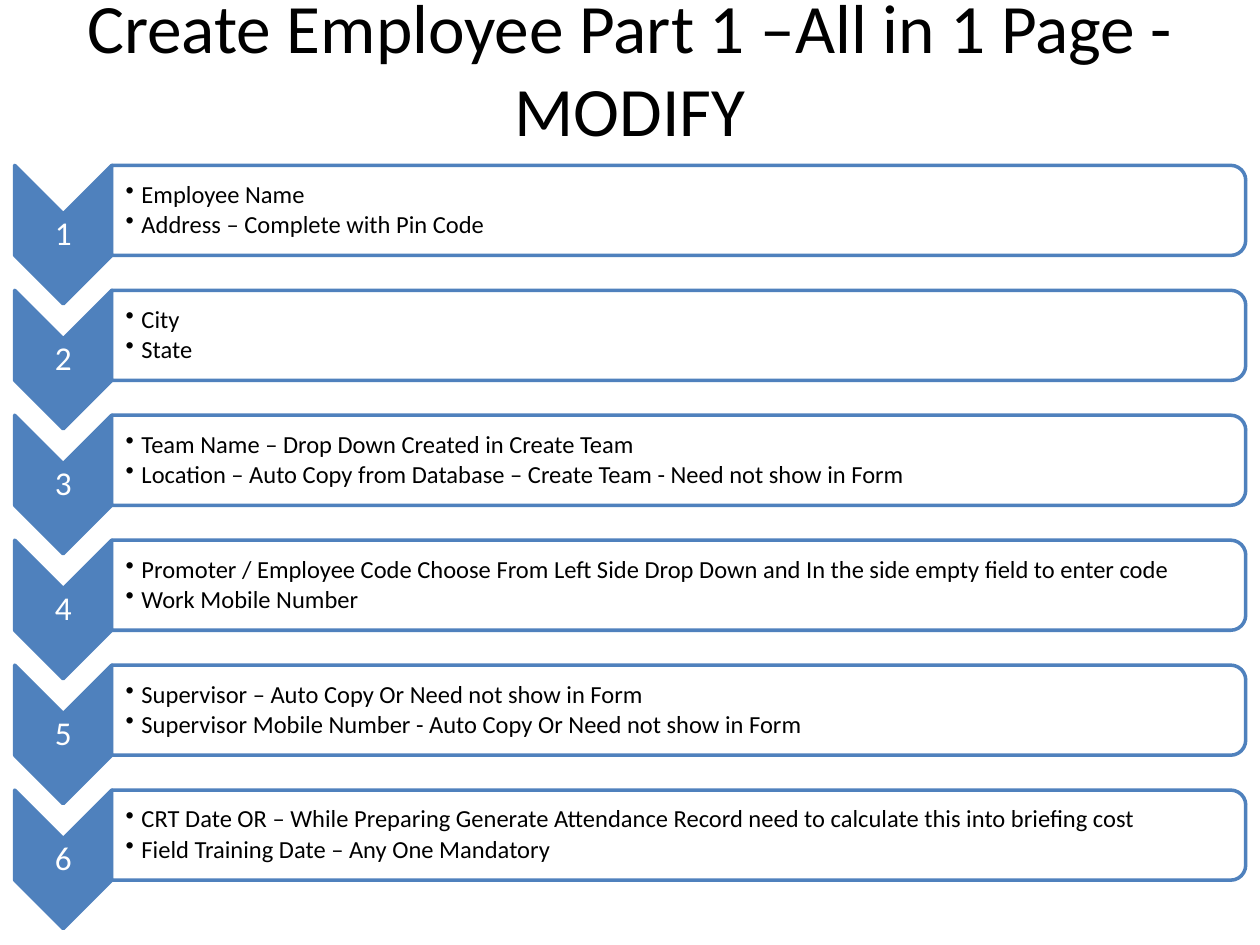
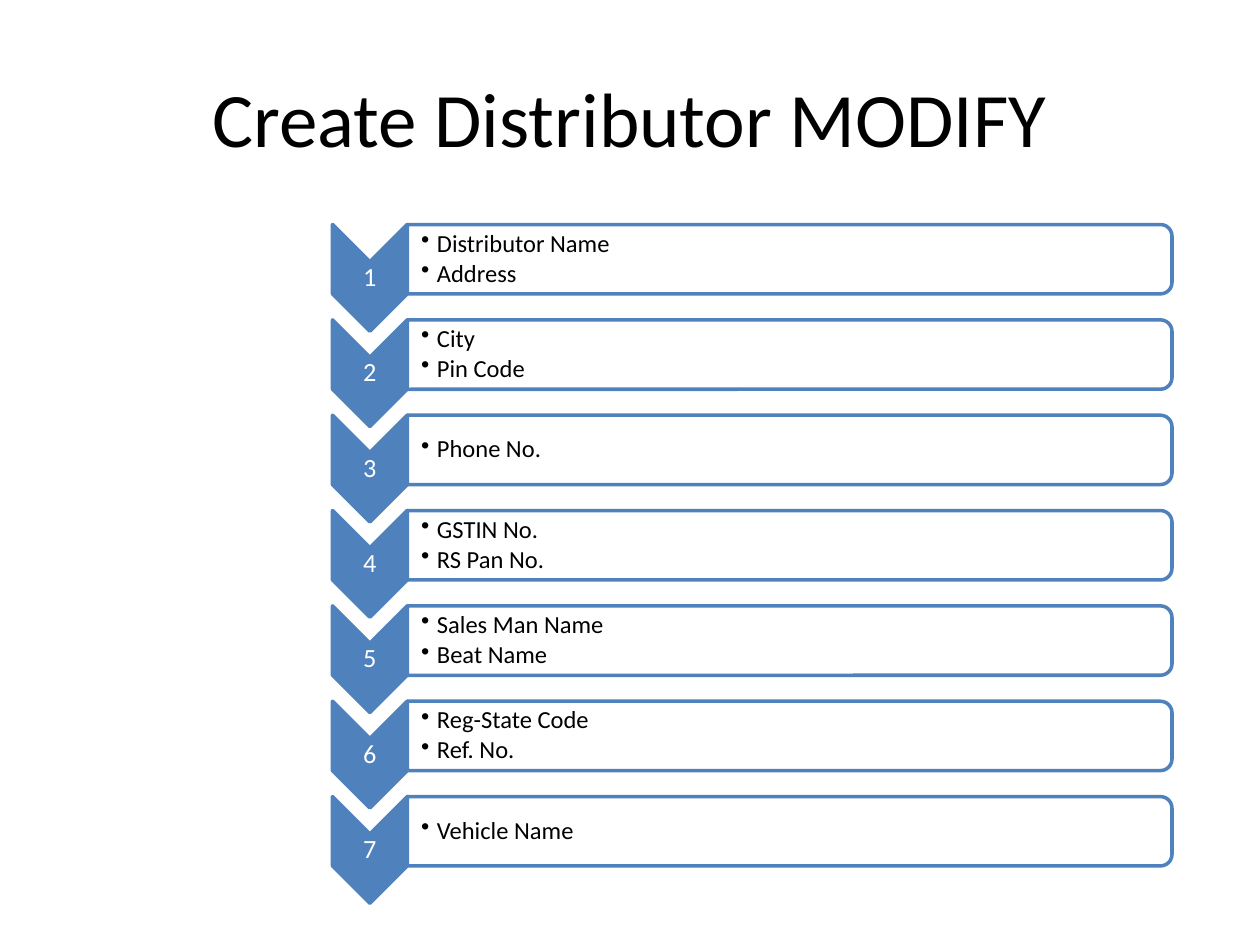
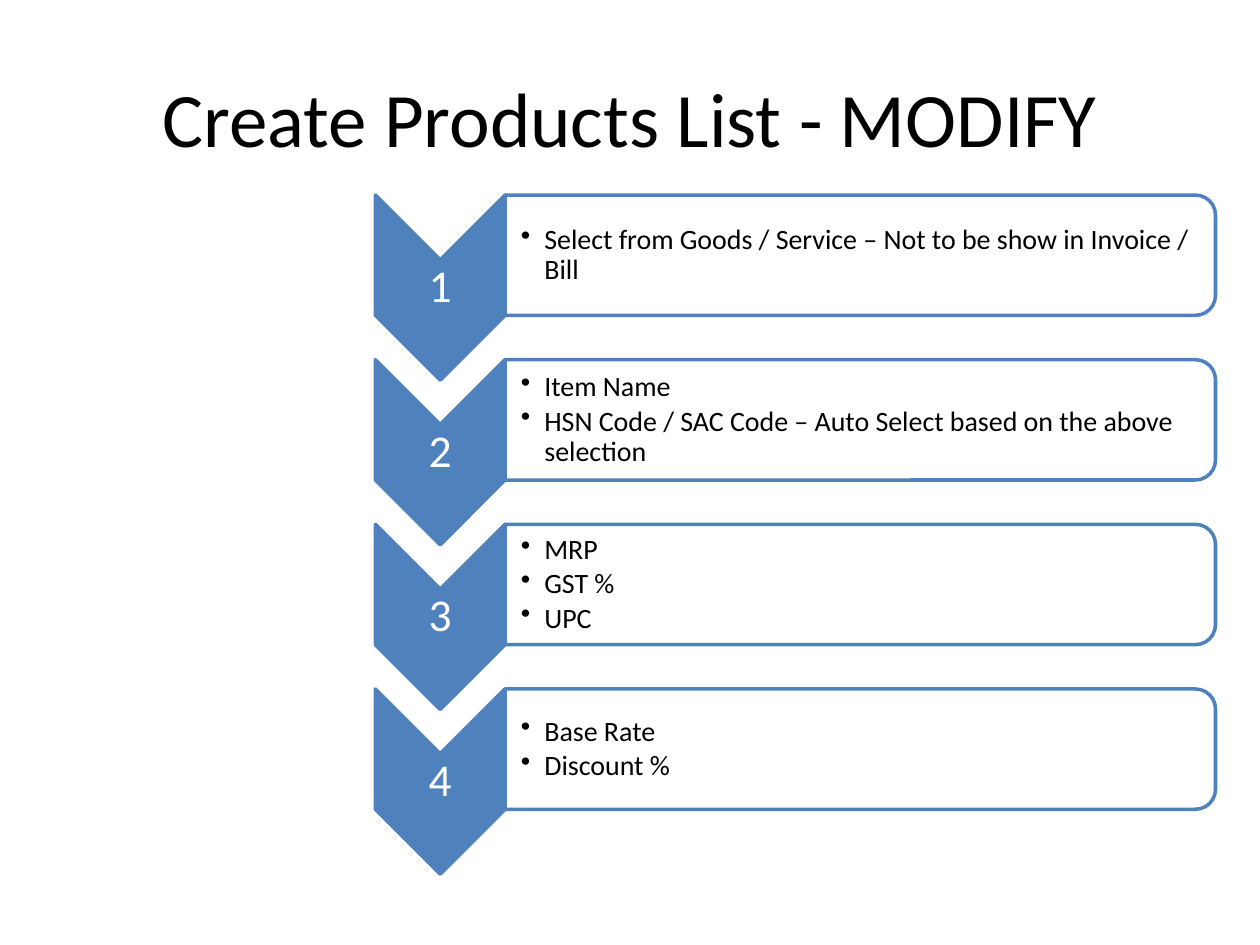
import pptx
import pptx.dml.color
import pptx.enum.shapes
import pptx.enum.text
import pptx.oxml
import pptx.oxml.ns
import pptx.util
import lxml.etree

Pt = pptx.util.Pt
SHAPES = pptx.enum.shapes.MSO_SHAPE
ALIGN = pptx.enum.text.PP_ALIGN
COLORS = {"accent": "4F81BD", "paper": "FFFFFF", "ink": "000000"}
FONT = "Calibri"
TITLE_ONLY = 5


def color(name):
    return pptx.dml.color.RGBColor.from_string(COLORS[name])


class Deck:
    def __init__(self):
        self.presentation = pptx.Presentation()
        self.presentation.slide_width = Pt(720)
        self.presentation.slide_height = Pt(540)
        self.slide = None

    def new_slide(self, title, top=21.6, height=90, size=44):
        layout = self.presentation.slide_layouts[TITLE_ONLY]
        self.slide = self.presentation.slides.add_slide(layout)
        shape = self.slide.shapes.title
        shape.left, shape.top = Pt(36), Pt(top)
        shape.width, shape.height = Pt(648), Pt(height)
        text_frame = shape.text_frame
        text_frame.text = title
        text_frame.word_wrap = True
        text_frame.auto_size = pptx.enum.text.MSO_AUTO_SIZE.NONE
        text_frame.vertical_anchor = pptx.enum.text.MSO_ANCHOR.MIDDLE
        text_frame.paragraphs[0].alignment = ALIGN.CENTER
        self.format_font(text_frame.paragraphs[0], size, "ink")

    def format_font(self, paragraph, size, color_name):
        for run in paragraph.runs:
            run.font.name = FONT
            run.font.size = Pt(size)
            run.font.color.rgb = color(color_name)

    def turned_shape(self, kind, left, top, width, height, fill, opacity=100):
        shape = self.slide.shapes.add_shape(
            kind,
            Pt(left + (width - height) / 2),
            Pt(top + (height - width) / 2),
            Pt(height),
            Pt(width),
        )
        shape.rotation = 90
        shape.shadow.inherit = False
        shape.fill.solid()
        shape.fill.fore_color.rgb = color(fill)
        if opacity < 100:
            fill_color = shape.fill._xPr.find(".//" + pptx.oxml.ns.qn("a:srgbClr"))
            alpha = lxml.etree.SubElement(fill_color, pptx.oxml.ns.qn("a:alpha"))
            alpha.set("val", str(opacity * 1000))
        shape.line.color.rgb = color("accent")
        shape.line.width = Pt(2)
        return shape

    def text_box(self, lines, left, top, width, height, size, color_name,
                 space_after, inset_left=0.8, indent=0):
        shape = self.slide.shapes.add_textbox(Pt(left), Pt(top), Pt(width), Pt(height))
        text_frame = shape.text_frame
        text_frame.text = "\n".join(lines)
        text_frame.word_wrap = True
        text_frame.vertical_anchor = pptx.enum.text.MSO_ANCHOR.MIDDLE
        text_frame.margin_left = Pt(inset_left)
        text_frame.margin_right = text_frame.margin_top = text_frame.margin_bottom = Pt(0.8)
        for paragraph in text_frame.paragraphs:
            paragraph.alignment = ALIGN.LEFT if indent else ALIGN.CENTER
            paragraph.line_spacing = 0.9
            paragraph.space_after = Pt(space_after * size)
            if indent:
                self.add_bullet(paragraph, indent)
            self.format_font(paragraph, size, color_name)

    def add_bullet(self, paragraph, indent):
        properties = paragraph._p.get_or_add_pPr()
        properties.set("marL", str(Pt(indent)))
        properties.set("indent", str(-Pt(indent)))
        bullet = lxml.etree.SubElement(properties, pptx.oxml.ns.qn("a:buChar"))
        bullet.set("char", "•")

    def chevron_list(self, steps, left, top, pitch, chevron_height, bar_width,
                     number_size, text_size=14, inset_left=8, indent=9):
        chevron_width = 0.7 * chevron_height
        bar_height = 0.65 * chevron_height
        bar_left = left + chevron_width
        corner_inset = 0.05 * bar_height
        for index, lines in enumerate(steps):
            step_top = top + index * pitch
            self.turned_shape(SHAPES.CHEVRON, left, step_top,
                              chevron_width, chevron_height, "accent")
            self.text_box([str(index + 1)], left, step_top + 0.35 * chevron_height,
                          chevron_width, 0.3 * chevron_height,
                          number_size, "paper", 0.35)
            self.turned_shape(SHAPES.ROUND_2_SAME_RECTANGLE, bar_left, step_top,
                              bar_width, bar_height, "paper", 90)
            self.text_box(lines, bar_left, step_top + corner_inset,
                          bar_width - corner_inset, bar_height - 2 * corner_inset,
                          text_size, "ink", 0.15, inset_left, indent)


def main():
    deck = Deck()

    deck.new_slide("Create Employee Part 1 –All in 1 Page - MODIFY",
                   top=21, height=34.5, size=39.6)
    employee_steps = [
        ["Employee Name", "Address – Complete with Pin Code"],
        ["City", "State"],
        ["Team Name – Drop Down Created in Create Team",
         "Location – Auto Copy from Database – Create Team - Need not show in Form"],
        ["Promoter / Employee Code Choose From Left Side Drop Down and In the side empty field to enter code",
         "Work Mobile Number"],
        ["Supervisor – Auto Copy Or Need not show in Form",
         "Supervisor Mobile Number - Auto Copy Or Need not show in Form"],
        ["CRT Date OR – While Preparing Generate Attendance Record need to calculate this into briefing cost",
         "Field Training Date – Any One Mandatory"],
    ]
    deck.chevron_list(employee_steps, left=8.4, top=94.5, pitch=71.4,
                      chevron_height=79.2, bar_width=648, number_size=19)

    deck.new_slide("Create Distributor MODIFY")
    distributor_steps = [
        ["Distributor Name", "Address"],
        ["City", "Pin Code"],
        ["Phone No."],
        ["GSTIN No.", "RS Pan No."],
        ["Sales Man Name", "Beat Name"],
        ["Reg-State Code", "Ref. No."],
        ["Vehicle Name"],
    ]
    deck.chevron_list(distributor_steps, left=190, top=128.3, pitch=54.48,
                      chevron_height=61, bar_width=437, number_size=15)

    deck.new_slide("Create Products List - MODIFY")
    product_steps = [
        ["Select from Goods / Service – Not to be show in Invoice / Bill"],
        ["Item Name", "HSN Code / SAC Code – Auto Select based on the above selection"],
        ["MRP", "GST %", "UPC"],
        ["Base Rate", "Discount %"],
    ]
    deck.chevron_list(product_steps, left=214.5, top=111.5, pitch=94.08,
                      chevron_height=105.8, bar_width=406, number_size=26,
                      text_size=16, inset_left=9, indent=13.5)

    deck.presentation.save("out.pptx")


if __name__ == "__main__":
    main()
